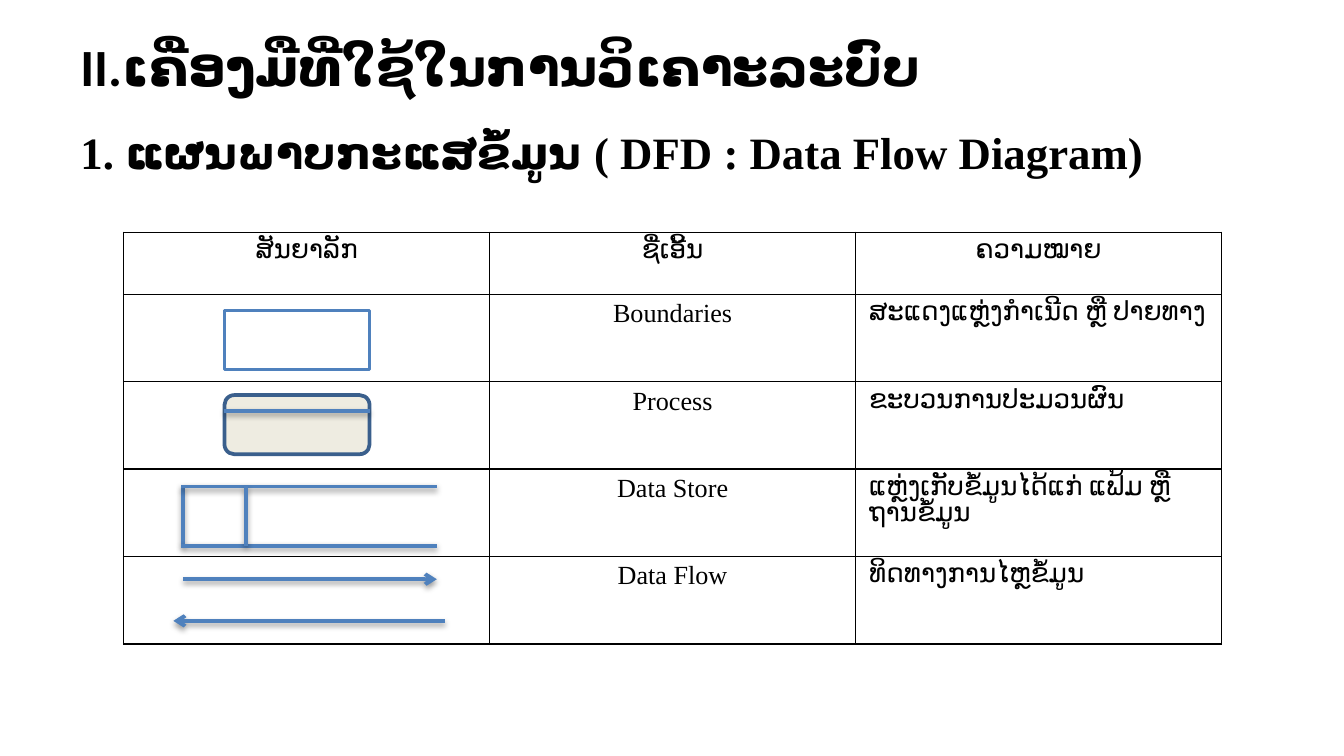
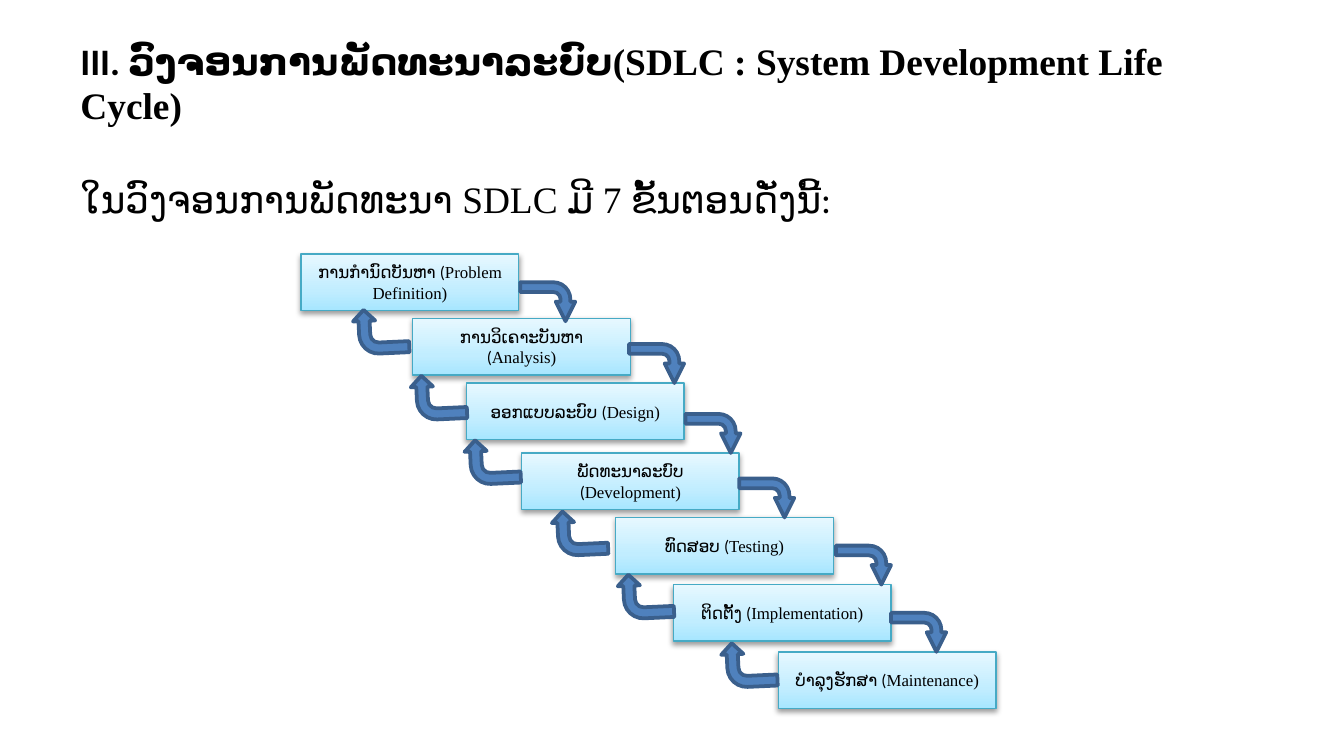
from pptx import Presentation, oxml
from pptx.dml.color import RGBColor
from pptx.enum import shapes, text
from pptx.oxml import ns
from pptx.util import Inches, Pt

BLACK = RGBColor(0x00, 0x00, 0x00)
WHITE = RGBColor(0xFF, 0xFF, 0xFF)
BLUE = RGBColor(0x4F, 0x81, 0xBD)
NAVY = RGBColor(0x3A, 0x5F, 0x8C)
CREAM = RGBColor(0xEE, 0xEC, 0xE1)
TEAL = RGBColor(0x46, 0xAA, 0xC5)
GRADIENT = [(0, RGBColor(0xA7, 0xE6, 0xFF)), (35, RGBColor(0xC1, 0xED, 0xFF)),
            (100, RGBColor(0xE7, 0xF8, 0xFF))]
LAO = "Calibri"
LATIN = "Times New Roman"
NAMESPACE = ns.nsdecls("a")
CENTER = text.PP_ALIGN.CENTER
SHADOW = (f'<a:effectLst {NAMESPACE}><a:outerShdw blurRad="{Pt(3.1)}" dist="{Pt(1.6)}" '
          'dir="5400000" rotWithShape="0"><a:srgbClr val="000000"><a:alpha val="38000"/>'
          '</a:srgbClr></a:outerShdw></a:effectLst>')


def add_runs(paragraph, runs, size, bold=False):
    for words, font_name in runs:
        run = paragraph.add_run()
        run.text = words
        run.font.name = font_name
        run.font.size = Pt(size)
        run.font.bold = bold
        run.font.color.rgb = BLACK


def add_shape(slide, preset, left, top, width, height, fill, line, weight):
    shape = slide.shapes.add_shape(preset, Inches(left), Inches(top), Inches(width), Inches(height))
    if fill is not None:
        shape.fill.solid()
        shape.fill.fore_color.rgb = fill
    shape.line.color.rgb = line
    shape.line.width = Pt(weight)
    shape.shadow.inherit = False
    return shape


presentation = Presentation()
presentation.slide_width = Inches(10)
presentation.slide_height = Inches(10) * 9 // 16

pages = [
    (0.52, 28, [("II.ເຄື່ອງມືທີ່ໃຊ້ໃນການວິເຄາະລະບົບ", LAO)],
     4.15, 0.05, 24, True,
     [("1. ", LATIN), ("ແຜນພາບກະແສຂໍ້ມູນ ", LAO), ("( DFD : Data Flow Diagram)", LATIN)]),
    (0.77, 20, [("III. ວົງຈອນການພັດທະນາລະບົບ", LAO),
                ("(SDLC : System Development Life Cycle)", LATIN)],
     4.31, 0.43, 20, False,
     [("ໃນວົງຈອນການພັດທະນາ ", LAO), ("SDLC ", LATIN), ("ມີ ", LAO), ("7 ", LATIN),
      ("ຂັ້ນຕອນດັ່ງນີ້:", LAO)]),
]
slides = []
for title_height, title_size, title_runs, body_height, body_inset, body_size, body_bold, body_runs in pages:
    slide = presentation.slides.add_slide(presentation.slide_layouts[6])
    slides.append(slide)
    title = slide.shapes.add_textbox(Inches(0.5), Inches(0.23), Inches(9), Inches(title_height))
    title.text_frame.word_wrap = True
    title.text_frame.vertical_anchor = text.MSO_ANCHOR.MIDDLE
    add_runs(title.text_frame.paragraphs[0], title_runs, title_size, True)
    body = slide.shapes.add_textbox(Inches(0.5), Inches(0.88), Inches(9), Inches(body_height))
    body.text_frame.word_wrap = True
    body.text_frame.margin_top = Inches(body_inset)
    paragraph = body.text_frame.paragraphs[0]
    paragraph.space_before = Pt(body_size * 0.2)
    add_runs(paragraph, body_runs, body_size, body_bold)

symbol_slide, cycle_slide = slides

symbol_rows = [
    ("ສັນຍາລັກ", "ຊື່ເອີ້ນ", "ຄວາມໝາຍ"),
    ("", "Boundaries", "ສະແດງແຫຼ່ງກໍາເນີດ ຫຼື ປາຍທາງ"),
    ("", "Process", "ຂະບວນການປະມວນຜົນ"),
    ("", "Data Store", "ແຫຼ່ງເກັບຂໍ້ມູນໄດ້ແກ່ ແຟ້ມ ຫຼື ຖານຂໍ້ມູນ"),
    ("", "Data Flow", "ທິດທາງການໄຫຼຂໍ້ມູນ"),
]
table = symbol_slide.shapes.add_table(
    5, 3, Inches(0.92), Inches(1.73), Inches(8.17), Inches(3.06)).table
for row_index, row in enumerate(symbol_rows):
    table.rows[row_index].height = Inches(0.65 if row_index else 0.46)
    for column_index, words in enumerate(row):
        cell = table.cell(row_index, column_index)
        cell.margin_top = cell.margin_bottom = Inches(0.04)
        properties = cell._tc.get_or_add_tcPr()
        for side in "LRTB":
            properties.append(oxml.parse_xml(
                f'<a:ln{side} {NAMESPACE} w="{Pt(1)}"><a:solidFill><a:srgbClr val="{BLACK}"/>'
                f'</a:solidFill></a:ln{side}>'))
        cell.fill.background()
        if words:
            paragraph = cell.text_frame.paragraphs[0]
            if row_index == 0 or column_index == 1:
                paragraph.alignment = CENTER
            font_name = LATIN if row_index and column_index == 1 else LAO
            add_runs(paragraph, [(words, font_name)], 14)

add_shape(symbol_slide, shapes.MSO_SHAPE.ROUNDED_RECTANGLE, 1.67, 2.94, 1.08, 0.44, CREAM, NAVY, 2)
add_shape(symbol_slide, shapes.MSO_SHAPE.RECTANGLE, 1.67, 2.31, 1.08, 0.44, WHITE, BLUE, 2)

symbol_lines = [
    (1.67, 3.06, 2.75, 3.06, False),
    (1.36, 3.62, 1.36, 4.06, False),
    (3.25, 3.62, 1.35, 3.62, False),
    (3.25, 4.06, 1.35, 4.06, False),
    (1.83, 3.62, 1.83, 4.06, False),
    (1.36, 4.31, 3.25, 4.31, True),
    (3.31, 4.62, 1.29, 4.62, True),
]
for start_x, start_y, end_x, end_y, has_arrow in symbol_lines:
    connector = symbol_slide.shapes.add_connector(
        shapes.MSO_CONNECTOR.STRAIGHT, Inches(start_x), Inches(start_y), Inches(end_x), Inches(end_y))
    connector.line.color.rgb = BLUE
    connector.line.width = Pt(2)
    if has_arrow:
        connector.line._get_or_add_ln().append(
            oxml.parse_xml(f'<a:tailEnd {NAMESPACE} type="arrow"/>'))
    connector._element.spPr.append(oxml.parse_xml(SHADOW))

steps = [
    (2.24, 1.89, "ການກຳນົດບັນຫາ (", "Problem Definition)"),
    (3.07, 2.37, "ການວິເຄາະບັນຫາ (", "Analysis)"),
    (3.47, 2.85, "ອອກແບບລະບົບ (", "Design)"),
    (3.88, 3.37, "ພັດທະນາລະບົບ (", "Development)"),
    (4.58, 3.85, "ທົດສອບ (", "Testing)"),
    (5.01, 4.35, "ຕິດຕັ້ງ (", "Implementation)"),
    (5.79, 4.85, "ບຳລຸງຮັກສາ (", "Maintenance)"),
]
stops = "".join(f'<a:gs pos="{position * 1000}"><a:srgbClr val="{color}"/></a:gs>'
                for position, color in GRADIENT)
for left, top, lao_name, latin_name in steps:
    step = add_shape(cycle_slide, shapes.MSO_SHAPE.RECTANGLE, left, top, 1.62, 0.42, None, TEAL, 0.75)
    step_properties = step._element.spPr
    step_properties.insert(2, oxml.parse_xml(
        f'<a:gradFill {NAMESPACE} rotWithShape="1"><a:gsLst>{stops}</a:gsLst>'
        '<a:lin ang="16200000" scaled="0"/></a:gradFill>'))
    step_properties.replace(step_properties.find(ns.qn("a:effectLst")), oxml.parse_xml(SHADOW))
    step.text_frame.word_wrap = True
    step.text_frame.vertical_anchor = text.MSO_ANCHOR.MIDDLE
    paragraph = step.text_frame.paragraphs[0]
    paragraph.alignment = CENTER
    add_runs(paragraph, [(lao_name, LAO), (latin_name, LATIN)], 9)

forward_arrows = [(3.93, 2.04), (4.74, 2.5), (5.16, 3.02), (5.56, 3.5), (6.28, 4), (6.69, 4.5)]
return_arrows = [(2.67, 2.26), (3.1, 2.75), (3.5, 3.23), (4.15, 3.76), (4.64, 4.23), (5.41, 4.74)]
for positions, width, rotation, bend in [(forward_arrows, 0.29, 90, 0.5),
                                         (return_arrows, 0.33, 267.4, 0.25)]:
    for left, top in positions:
        arrow = add_shape(cycle_slide, shapes.MSO_SHAPE.BENT_ARROW, left, top, width, 0.41, BLUE, NAVY, 2)
        arrow.rotation = rotation
        arrow.adjustments[2] = bend

presentation.save("out.pptx")
